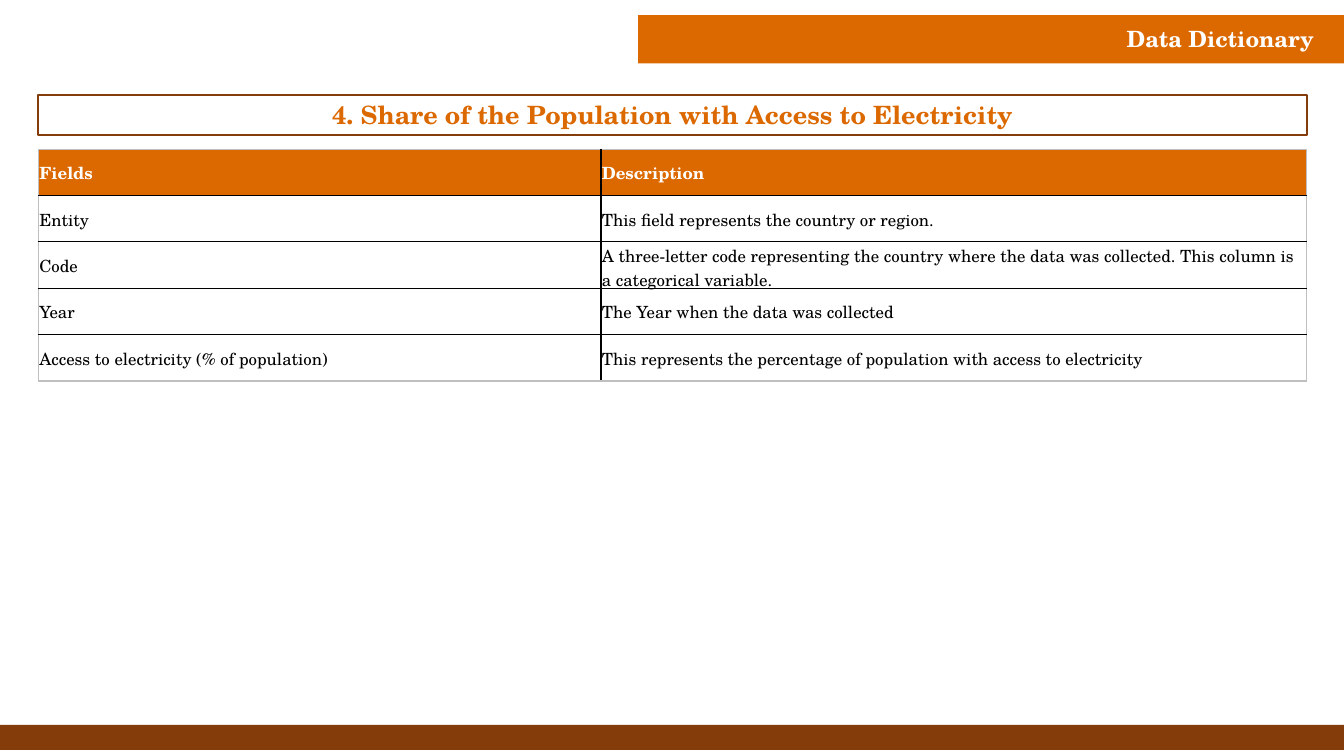
from lxml import etree
from pptx import Presentation
from pptx.dml.color import RGBColor
from pptx.enum.shapes import MSO_SHAPE
from pptx.enum.text import MSO_ANCHOR, PP_ALIGN
from pptx.oxml.ns import qn
from pptx.util import Inches, Pt

RECT = MSO_SHAPE.RECTANGLE
MIDDLE = MSO_ANCHOR.MIDDLE
LEFT, CENTER, RIGHT = PP_ALIGN.LEFT, PP_ALIGN.CENTER, PP_ALIGN.RIGHT

FONT = "TeX Gyre Schola"
COLORS = {
    "orange": "DC6900",
    "brown": "843C0B",
    "white": "FFFFFF",
    "black": "000000",
    "gray": "BFBFBF",
}
ROWS = [
    ("Fields", "Description"),
    ("Entity", "This field represents the country or region."),
    ("Code", "A three-letter code representing the country where the data was "
             "collected. This column is a categorical variable."),
    ("Year", "The Year when the data was collected"),
    ("Access to electricity (% of population)",
     "This represents the percentage of population with access to electricity"),
]
COL_WIDTHS = [5.58, 7]
ROW_HEIGHT = 0.46


def write(tf, text, size, color, bold, align):
    tf.word_wrap = True
    p = tf.paragraphs[0]
    p.alignment = align
    r = p.add_run()
    r.text = text
    r.font.name = FONT
    r.font.size = Pt(size)
    r.font.bold = bold
    r.font.color.rgb = RGBColor.from_string(COLORS[color])


def add_border(cell, side, color):
    """Draw one side (L, R, T or B) of a table cell."""
    ln = etree.SubElement(cell._tc.get_or_add_tcPr(), qn(f"a:ln{side}"), w=str(Pt(1)))
    fill = etree.SubElement(ln, qn("a:solidFill"))
    etree.SubElement(fill, qn("a:srgbClr"), val=COLORS[color])


prs = Presentation()
prs.slide_width, prs.slide_height = Inches(13.33), Inches(7.5)
s = prs.slides.add_slide(prs.slide_layouts[6])

# Footer and header bars
for x, y, w, h, color in [(0, 7.19, 13.33, 0.25, "brown"), (6.33, 0.15, 7, 0.48, "orange")]:
    bar = s.shapes.add_shape(RECT, Inches(x), Inches(y), Inches(w), Inches(h))
    bar.shadow.inherit = False
    bar.fill.solid()
    bar.fill.fore_color.rgb = RGBColor.from_string(COLORS[color])
    bar.line.fill.background()

header = s.shapes.add_textbox(Inches(8.82), Inches(0.2), Inches(4.31), Inches(0.37))
header.text_frame.vertical_anchor = MIDDLE
write(header.text_frame, "Data Dictionary", 16, "white", True, RIGHT)

# Section title
title = s.shapes.add_shape(RECT, Inches(0.38), Inches(0.94), Inches(12.58), Inches(0.4))
title.shadow.inherit = False
title.fill.background()
title.line.color.rgb = RGBColor.from_string(COLORS["brown"])
title.line.width = Pt(1.5)
tf = title.text_frame
tf.vertical_anchor = MIDDLE
tf.margin_top = tf.margin_bottom = 0
write(tf, "4. Share of the Population with Access to Electricity", 18, "orange", True, CENTER)

# Field table
table = s.shapes.add_table(
    len(ROWS), len(COL_WIDTHS), Inches(0.38), Inches(1.48),
    Inches(sum(COL_WIDTHS)), Inches(ROW_HEIGHT * len(ROWS))).table
table.first_row = table.horz_banding = False
for column, width in zip(table.columns, COL_WIDTHS):
    column.width = Inches(width)

last_row, last_col = len(ROWS) - 1, len(COL_WIDTHS) - 1
for i, row in enumerate(ROWS):
    table.rows[i].height = Inches(ROW_HEIGHT)
    is_header = i == 0
    for j, text in enumerate(row):
        cell = table.cell(i, j)
        cell.vertical_anchor = MIDDLE
        cell.margin_left = cell.margin_right = cell.margin_top = Inches(0.01)
        cell.margin_bottom = 0
        write(cell.text_frame, text, 12, "white" if is_header else "black", is_header, LEFT)
        outer = {"L": j == 0, "R": j == last_col, "T": i == 0, "B": i == last_row}
        for side, is_outer in outer.items():
            add_border(cell, side, "gray" if is_outer else "black")
        if is_header:
            cell.fill.solid()
            cell.fill.fore_color.rgb = RGBColor.from_string(COLORS["orange"])
        else:
            cell.fill.background()

prs.save("out.pptx")
